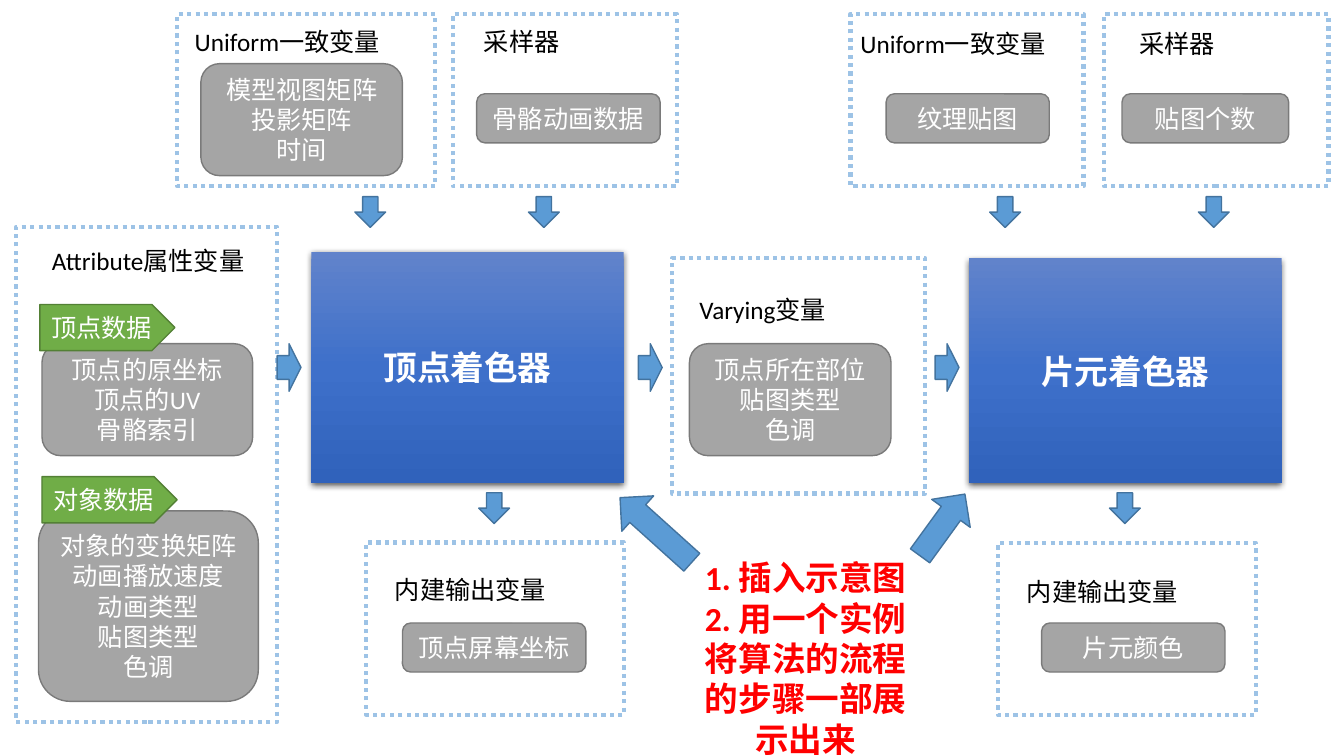
from copy import deepcopy
from pptx import Presentation
from pptx import util as u
from pptx.dml import color, line as dash
from pptx.enum import dml, shapes, text
from pptx.oxml import ns, parse_xml

SHAPE = shapes.MSO_SHAPE
FRAMES = [
    (11.5, 162, 186.5, 353.5), (480, 184.5, 181, 168),
    (261.5, 387.5, 184, 123), (713, 388, 184, 123),
    (126.5, 10, 184.5, 123), (323.5, 10, 160, 123),
    (607.5, 10, 166.5, 123), (788.5, 10, 160.5, 123),
]
SHADERS = [
    ("顶点着色器", 222.5, 180, 223, 165),
    ("片元着色器", 692, 184.5, 223.5, 160.5),
]
LABELS = [
    ("Attribute属性变量", 30, 171.5), ("Varying变量", 492.5, 206.5),
    ("内建输出变量", 275, 407), ("内建输出变量", 726.5, 408),
    ("Uniform一致变量", 132, 15), ("采样器", 338.5, 15),
    ("Uniform一致变量", 607.5, 16.5), ("采样器", 806.5, 16.5),
]
RIGHT = [198, 456, 668]
DOWN = [
    (253.5, 140.5), (377.5, 140.5), (707, 140.5), (856, 140.5),
    (342, 352), (792.5, 352),
]
SLANTED = [(646, 358, 54.5, 306), (434, 361.5, 69, 222)]
DATA = [
    ("贴图个数", 801.5, 67, 119, 35),
    ("纹理贴图", 633, 67, 116.5, 35),
    ("片元颜色", 744, 445, 131, 35),
    ("顶点屏幕坐标", 287.5, 445, 131, 35),
    ("骨骼动画数据", 340.5, 67, 131, 35),
    ("模型视图矩阵\n投影矩阵\n时间", 143.5, 45.5, 144, 80),
    ("顶点所在部位\n贴图类型\n色调", 492.5, 245.5, 144, 80),
    ("顶点的原坐标\n顶点的UV\n骨骼索引", 30, 245.5, 150.5, 80),
    ("对象的变换矩阵\n动画播放速度\n动画类型\n贴图类型\n色调", 27.5, 365, 157, 136),
]
TAGS = [("顶点数据", 28.5, 217.5), ("对象数据", 30, 340.5)]
NOTE = "1. 插入示意图\n2. 用一个实例将算法的流程的步骤一部展示出来"
SHADOW = (
    f'<a:outerShdw {ns.nsdecls("a")} blurRad="57150" dist="19050" '
    'dir="5400000" algn="ctr" rotWithShape="0"><a:srgbClr val="000000">'
    '<a:alpha val="63000"/></a:srgbClr></a:outerShdw>'
)

deck = Presentation()
deck.slide_width, deck.slide_height = u.Pt(960), u.Pt(540)
slide = deck.slides.add_slide(deck.slide_layouts[6])


def rgb(code):
    return color.RGBColor.from_string(code)


def write(item, words, size, code, bold=False, face="Calibri", center=True):
    frame = item.text_frame
    frame.word_wrap = True
    frame.text = words
    for para in frame.paragraphs:
        para.alignment = text.PP_ALIGN.CENTER if center else text.PP_ALIGN.LEFT
        font = para.font
        font.size, font.bold, font.name = u.Pt(size), bold, face
        font.color.rgb = rgb(code)


def draw(kind, area, fill=None, edge=None, width=1):
    item = slide.shapes.add_shape(kind, *map(u.Pt, area))
    item.shadow.inherit = False
    if fill:
        item.fill.solid()
        item.fill.fore_color.rgb = rgb(fill)
    else:
        item.fill.background()
    if edge:
        item.line.color.rgb = rgb(edge)
        item.line.width = u.Pt(width)
    else:
        item.line.fill.background()
    return item


def note(words, area, *style, **more):
    item = slide.shapes.add_textbox(*map(u.Pt, area))
    write(item, words, *style, **more)


def arrow(kind, *area):
    return draw(kind, area, "5B9BD5", "43739E")


for area in FRAMES:
    box = draw(SHAPE.RECTANGLE, area, edge="9DC3E6", width=3)
    box.line.dash_style = dml.MSO_LINE.ROUND_DOT

for words, *area in SHADERS:
    box = draw(SHAPE.RECTANGLE, area)
    box.fill.gradient()
    box.fill.gradient_angle = 270
    props = box.element.spPr
    stops = props.find(".//" + ns.qn("a:gsLst"))
    stops.insert(1, deepcopy(stops[0]))
    shades = zip(box.fill.gradient_stops, ("6183CB", "3E70CA", "3062BB"))
    for rank, (stop, code) in enumerate(shades):
        stop.position = rank / 2
        stop.color.rgb = rgb(code)
    props.find(ns.qn("a:effectLst")).append(parse_xml(SHADOW))
    write(box, words, 24, "FFFFFF", True, "Noto Sans CJK SC")

for words, left, top in LABELS:
    note(words, (left, top, 157, 29), 18, "000000", center=False)

for left in RIGHT:
    arrow(SHAPE.RIGHT_ARROW, left, 245.5, 17, 34)
for left, top in DOWN:
    arrow(SHAPE.DOWN_ARROW, left, top, 22, 22)

for words, *area in DATA:
    box = draw(SHAPE.ROUNDED_RECTANGLE, area, "A5A5A5", "7A7A7A")
    write(box, words, 18, "FFFFFF")
for words, left, top in TAGS:
    tag = draw(SHAPE.PENTAGON, (left, top, 96.5, 33), "70AD47", "538035")
    write(tag, words, 18, "FFFFFF")

note(NOTE, (489.5, 394.5, 172, 152.5), 24, "FF0000", bold=True)
for left, top, width, turn in SLANTED:
    arrow(SHAPE.RIGHT_ARROW, left, top, width, 34).rotation = turn

deck.save("out.pptx")
